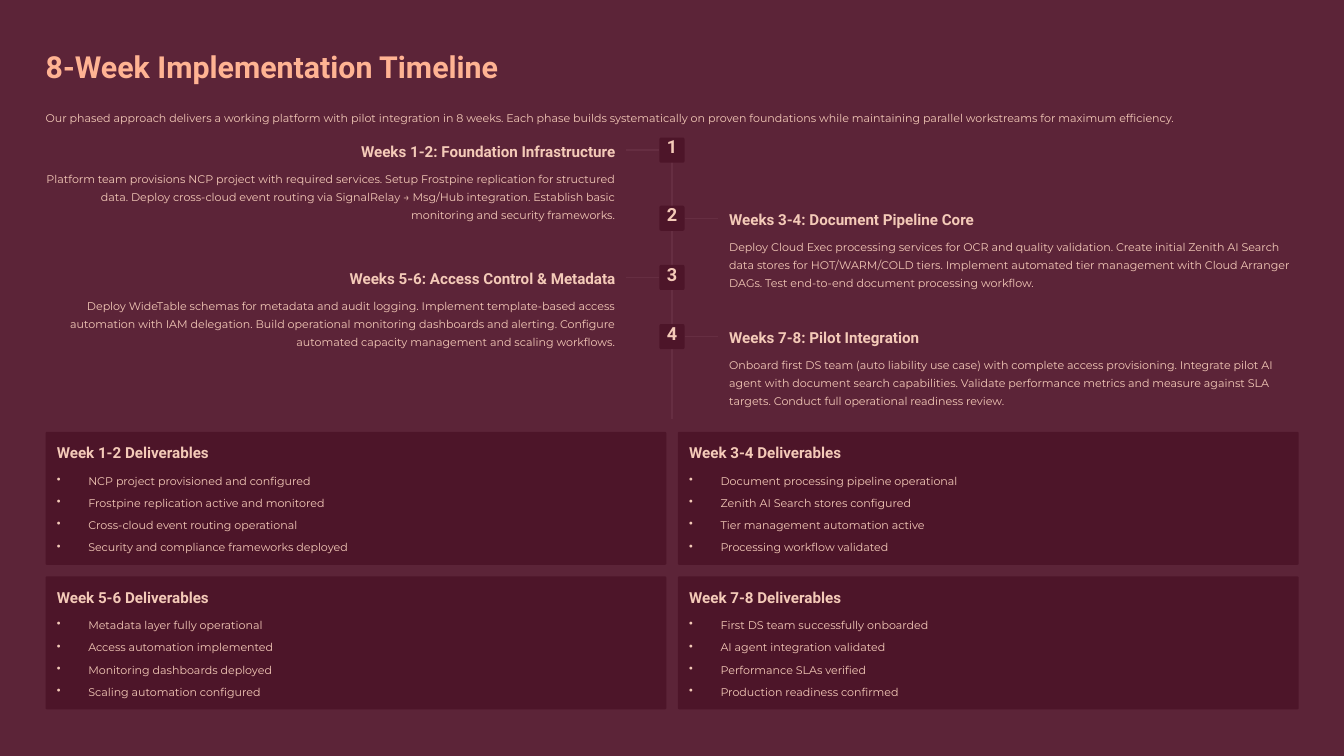
from lxml.etree import SubElement
from pptx import Presentation
from pptx.dml.color import RGBColor
from pptx.enum.shapes import MSO_CONNECTOR, MSO_SHAPE
from pptx.enum.text import MSO_ANCHOR, MSO_AUTO_SIZE, PP_ALIGN
from pptx.oxml.ns import qn
from pptx.util import Cm, Pt

MARGIN, CONTENT_W = 1.38, 37.89
SPINE_X, SPINE_TOP, SPINE_BOTTOM = 20.32, 4.16, 12.67
BADGE, STUB, PHASE_W = 0.76, 1.0, 17.22
CARD_W, CARD_H, CARD_TOP, GAP, PAD = 18.77, 4.02, 13.06, 0.35, 0.34
LEFT_SIDE, RIGHT_SIDE = 1, 3

PHASES = [
    (4.16, "Weeks 1-2: Foundation Infrastructure",
     "Platform team provisions NCP project with required services. Setup Frostpine "
     "replication for structured data. Deploy cross-cloud event routing via SignalRelay "
     "→ Msg/Hub integration. Establish basic monitoring and security frameworks."),
    (6.22, "Weeks 3-4: Document Pipeline Core",
     "Deploy Cloud Exec processing services for OCR and quality validation. Create initial "
     "Zenith AI Search data stores for HOT/WARM/COLD tiers. Implement automated tier "
     "management with Cloud Arranger DAGs. Test end-to-end document processing workflow."),
    (8.01, "Weeks 5-6: Access Control & Metadata",
     "Deploy WideTable schemas for metadata and audit logging. Implement template-based "
     "access automation with IAM delegation. Build operational monitoring dashboards and "
     "alerting. Configure automated capacity management and scaling workflows."),
    (9.8, "Weeks 7-8: Pilot Integration",
     "Onboard first DS team (auto liability use case) with complete access provisioning. "
     "Integrate pilot AI agent with document search capabilities. Validate performance "
     "metrics and measure against SLA targets. Conduct full operational readiness review."),
]

DELIVERABLES = [
    ("Week 1-2 Deliverables",
     ["NCP project provisioned and configured", "Frostpine replication active and monitored",
      "Cross-cloud event routing operational", "Security and compliance frameworks deployed"]),
    ("Week 3-4 Deliverables",
     ["Document processing pipeline operational", "Zenith AI Search stores configured",
      "Tier management automation active", "Processing workflow validated"]),
    ("Week 5-6 Deliverables",
     ["Metadata layer fully operational", "Access automation implemented",
      "Monitoring dashboards deployed", "Scaling automation configured"]),
    ("Week 7-8 Deliverables",
     ["First DS team successfully onboarded", "AI agent integration validated",
      "Performance SLAs verified", "Production readiness confirmed"]),
]


def color(hex_code):
    return RGBColor.from_string(hex_code)


class TimelineSlide:
    BACKGROUND, PANEL, LINE = "5C2438", "4D1529", "662E42"
    TITLE, TEXT = "FFB393", "F4CAB8"
    # text style: font, size, bold, line spacing
    HEADING = ("Roboto", 13, True, 16)
    BODY = ("Montserrat", 9.5, False, 15.5)
    NUMBER = ("Roboto", 15.5, True, 15.5)
    HEADLINE = ("Roboto", 26, True, 32.5)

    def __init__(self, prs):
        self.s = prs.slides.add_slide(prs.slide_layouts[5])
        self.s.background.fill.solid()
        self.s.background.fill.fore_color.rgb = color(self.BACKGROUND)

    def fill_text(self, sp, lines, style, align=PP_ALIGN.LEFT, fill=TEXT, bullets=False):
        font, size, bold, spacing = style
        tf = sp.text_frame
        tf.word_wrap = True
        tf.auto_size = MSO_AUTO_SIZE.NONE
        tf.vertical_anchor = MSO_ANCHOR.TOP
        tf.margin_left = tf.margin_right = tf.margin_top = tf.margin_bottom = 0
        for i, line in enumerate(lines):
            p = tf.add_paragraph() if i else tf.paragraphs[0]
            p.alignment = align
            p.line_spacing = Pt(spacing)
            r = p.add_run()
            r.text = line
            r.font.name, r.font.size, r.font.bold = font, Pt(size), bold
            r.font.color.rgb = color(fill)
            if bullets:
                p.space_after = Pt(3.6)
                pPr = p._p.get_or_add_pPr()
                pPr.set("marL", str(Cm(0.95)))
                pPr.set("indent", str(-Cm(0.95)))
                SubElement(pPr, qn("a:buChar"), char="•")

    def title(self, x, y, w, h, text):
        sp = self.s.shapes.title
        sp.left, sp.top, sp.width, sp.height = Cm(x), Cm(y), Cm(w), Cm(h)
        self.fill_text(sp, [text], self.HEADLINE, fill=self.TITLE)

    def text(self, x, y, w, h, lines, style, **options):
        sp = self.s.shapes.add_textbox(Cm(x), Cm(y), Cm(w), Cm(h))
        self.fill_text(sp, lines, style, **options)

    def panel(self, x, y, w, h, rounding):
        sp = self.s.shapes.add_shape(MSO_SHAPE.ROUNDED_RECTANGLE, Cm(x), Cm(y), Cm(w), Cm(h))
        sp.adjustments[0] = rounding
        sp.shadow.inherit = False
        sp.fill.solid()
        sp.fill.fore_color.rgb = color(self.PANEL)
        sp.line.fill.background()
        return sp

    def line(self, x1, y1, x2, y2):
        cx = self.s.shapes.add_connector(MSO_CONNECTOR.STRAIGHT, Cm(x1), Cm(y1), Cm(x2), Cm(y2))
        cx.line.color.rgb = color(self.LINE)
        cx.line.width = Pt(1.25)
        SubElement(cx._element.spPr, qn("a:effectLst"))
        return cx

    def phase(self, number, y, heading, body):
        """Odd phases sit left of the spine, even ones right."""
        on_left = number % 2 == 1
        x = MARGIN if on_left else MARGIN + CONTENT_W - PHASE_W
        align = PP_ALIGN.RIGHT if on_left else PP_ALIGN.LEFT
        direction = -1 if on_left else 1
        badge = self.panel(SPINE_X - BADGE / 2, y, BADGE, BADGE, 0.07)
        self.fill_text(badge, [str(number)], self.NUMBER, PP_ALIGN.CENTER)
        badge.text_frame.margin_top = Cm(0.04)
        edge, middle = SPINE_X + direction * BADGE / 2, y + BADGE / 2
        stub = self.line(edge, middle, edge + direction * STUB, middle)
        stub.begin_connect(badge, LEFT_SIDE if on_left else RIGHT_SIDE)
        self.text(x, y + 0.13, PHASE_W, 0.58, [heading], self.HEADING, align=align)
        self.text(x, y + 0.9, PHASE_W, 1.65, [body], self.BODY, align=align)

    def card(self, x, y, heading, items):
        self.panel(x, y, CARD_W, CARD_H, 0.01)
        w = CARD_W - 2 * PAD
        self.text(x + PAD, y + PAD, w, 0.58, [heading], self.HEADING)
        self.text(x + PAD, y + 1.13, w, 2.6, items, self.BODY, bullets=True)


def main():
    prs = Presentation()
    prs.slide_width, prs.slide_height = Cm(40.64), Cm(22.86)
    slide = TimelineSlide(prs)
    slide.title(MARGIN, 1.4, CONTENT_W, 1.14, "8-Week Implementation Timeline")
    slide.text(MARGIN, 3.23, CONTENT_W, 0.56, [
        "Our phased approach delivers a working platform with pilot integration in 8 weeks. "
        "Each phase builds systematically on proven foundations while maintaining parallel "
        "workstreams for maximum efficiency."], slide.BODY)
    slide.line(SPINE_X, SPINE_TOP, SPINE_X, SPINE_BOTTOM)
    for number, phase in enumerate(PHASES, 1):
        slide.phase(number, *phase)
    for i, (heading, items) in enumerate(DELIVERABLES):
        row, col = divmod(i, 2)
        slide.card(MARGIN + col * (CARD_W + GAP), CARD_TOP + row * (CARD_H + GAP), heading, items)
    prs.save("out.pptx")


if __name__ == "__main__":
    main()
